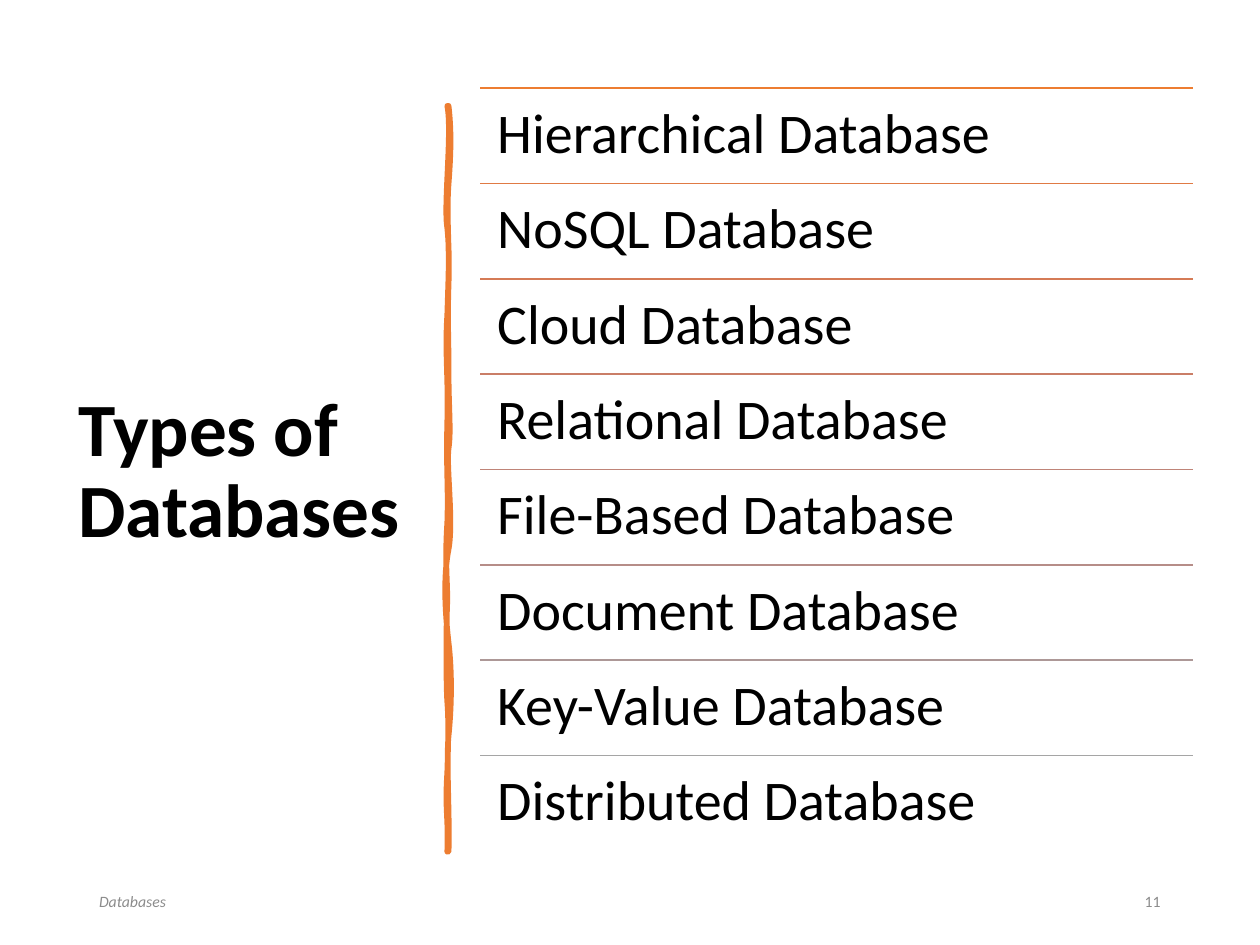
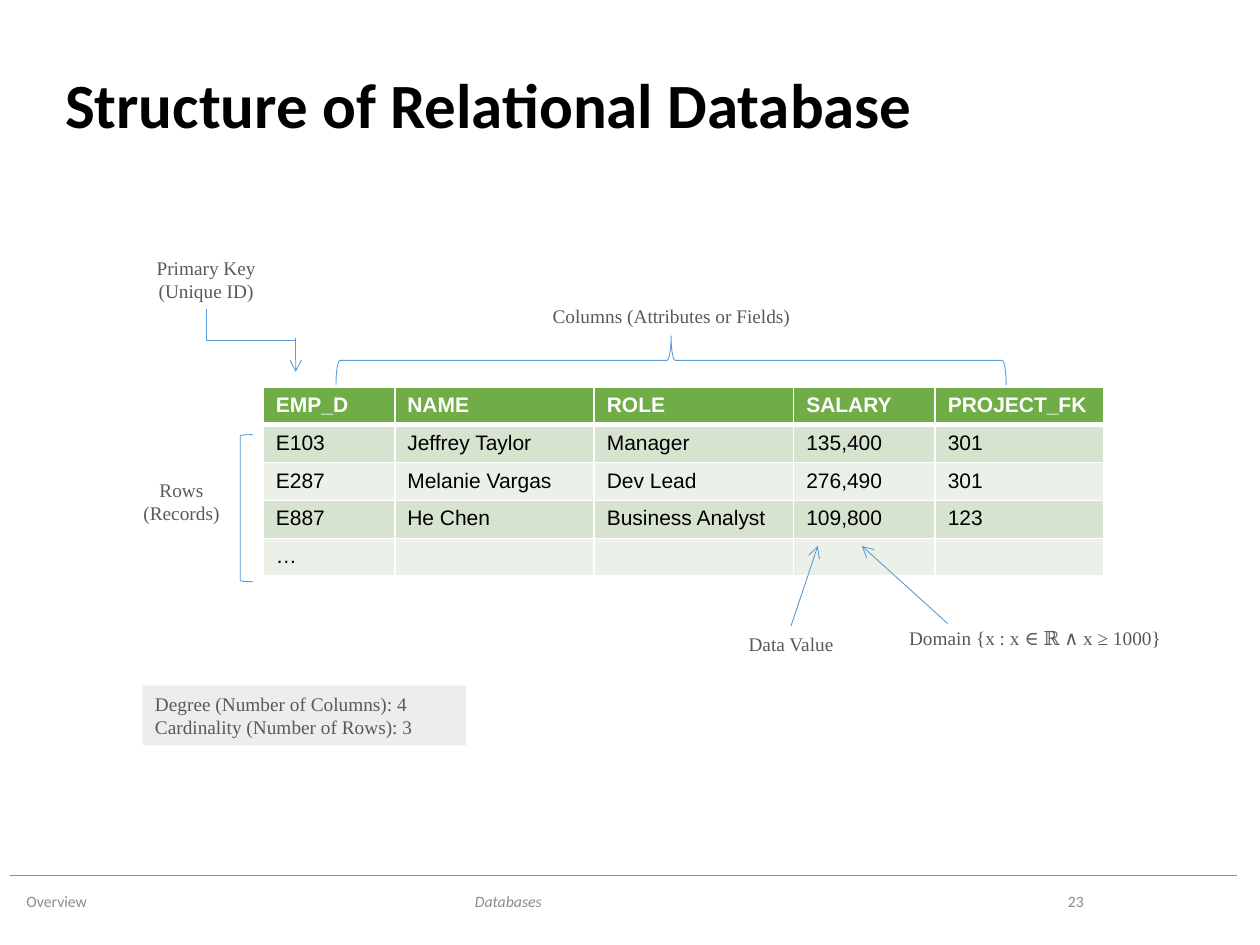
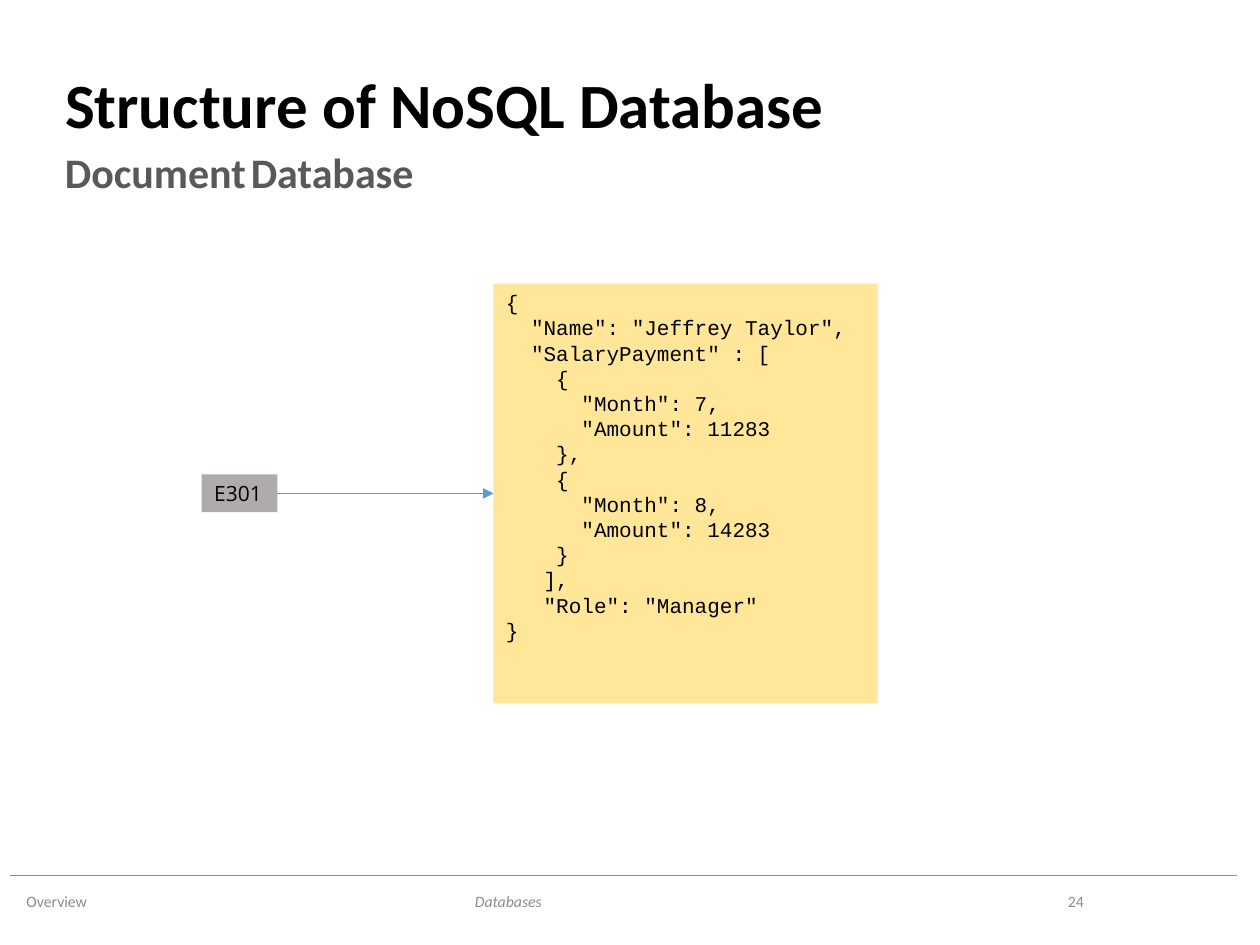
from dataclasses import dataclass

from lxml.etree import SubElement
from pptx import Presentation
from pptx.dml.color import RGBColor
from pptx.enum.shapes import MSO_CONNECTOR, MSO_SHAPE
from pptx.enum.text import MSO_ANCHOR, MSO_AUTO_SIZE, PP_ALIGN
from pptx.oxml.ns import qn
from pptx.util import Pt


@dataclass(frozen=True)
class Theme:
    black: str = "000000"
    white: str = "FFFFFF"
    label: str = "595959"
    footer: str = "8C8C8C"
    accent: str = "5B9BD5"
    orange: str = "ED7D31"
    header: str = "70AD47"
    bands: tuple = ("D5E3CF", "EBF1E9")
    note: str = "EDEDED"
    key: str = "AFABAB"
    document: str = "FFE699"
    rules: tuple = ("ED7D31", "E07A44", "D57B56", "CA7E67",
                    "BF8478", "B68D88", "AD9897", "A5A5A5")
    body: str = "Calibri"
    serif: str = "Times New Roman"
    grid: str = "Arial"
    code: str = "Courier New"
    sans: str = "Open Sans"
    cover_size: float = 43
    title_size: float = 36
    item_size: float = 32
    subtitle_size: float = 24
    cell_size: float = 12
    label_size: float = 11
    footer_size: float = 9
    hairline: float = 0.5


TH = Theme()
DATABASES = ("Hierarchical", "NoSQL", "Cloud", "Relational",
             "File-Based", "Document", "Key-Value", "Distributed")
EMPLOYEES = (
    ("EMP_D", "NAME", "ROLE", "SALARY", "PROJECT_FK"),
    ("E103", "Jeffrey Taylor", "Manager", "135,400", "301"),
    ("E287", "Melanie Vargas", "Dev Lead", "276,490", "301"),
    ("E887", "He Chen", "Business Analyst", "109,800", "123"),
    ("…", "", "", "", ""),
)
COLUMN_WIDTHS = (75.1, 114, 114, 80.9, 96.2)
RECORD = """{
  "Name": "Jeffrey Taylor",
  "SalaryPayment" : [
    {
      "Month": 7,
      "Amount": 11283
    },
    {
      "Month": 8,
      "Amount": 14283
    }
   ],
   "Role": "Manager"
}"""
STROKE_CENTER = (255.95, 273.6)
STROKE_START = (256.3, 60.5)
STROKE_CURVES = (
    (257.8, 73.4, 257.8, 85.7, 256.3, 105.1),
    (254.9, 124.6, 257, 140.4, 256.3, 162.7),
    (255.6, 185, 256.3, 188.6, 256.3, 211.7),
    (256.3, 234, 257.8, 246.2, 256.3, 256.3),
    (254.9, 266.4, 259.2, 298.1, 256.3, 313.9),
    (253.4, 329, 254.2, 348.5, 256.3, 367.2),
    (258.5, 385.9, 257.8, 406.1, 256.3, 420.5),
    (254.9, 434.2, 257, 468, 256.3, 486.7),
    (256.3, 486, 255.6, 486, 255.6, 486.7),
    (256.3, 465.1, 254.2, 463.7, 255.6, 441.4),
    (256.3, 419.8, 256.3, 410.4, 255.6, 401),
    (254.9, 391.7, 254.9, 356.4, 255.6, 343.4),
    (255.6, 330.5, 254.2, 320.4, 255.6, 298.8),
    (256.3, 277.9, 254.9, 268.6, 255.6, 241.2),
    (256.3, 214.6, 254.2, 202.3, 255.6, 180),
    (256.3, 157, 257, 144, 255.6, 130.3),
    (253.4, 117.4, 258.5, 74.9, 255.6, 60.5),
)


def rgb(color):
    return RGBColor.from_string(color)


def write(tf, text, *, size, color=TH.black, font=TH.body, bold=False, italic=False,
          align=PP_ALIGN.LEFT, spacing=None, anchor=MSO_ANCHOR.TOP, wrap=True, inset=None):
    tf.word_wrap = wrap
    tf.vertical_anchor = anchor
    if inset is not None:
        tf.margin_left = tf.margin_right = tf.margin_top = tf.margin_bottom = Pt(inset)
    lines = text.split("\n") if isinstance(text, str) else [text]
    for i, line in enumerate(lines):
        p = tf.add_paragraph() if i else tf.paragraphs[0]
        p.alignment = align
        if spacing:
            p.line_spacing = spacing
        if isinstance(line, str):
            p.text = line
        else:
            for part, part_size in line:
                r = p.add_run()
                r.text = part
                r.font.size = Pt(part_size)
        for r in p.runs:
            f = r.font
            f.name, f.bold, f.italic = font, bold, italic
            f.size = f.size or Pt(size)
            f.color.rgb = rgb(color)
        if not p.runs:
            SubElement(p._p, qn("a:endParaRPr"), sz=str(size * 100))


def quarter_turn(point, center):
    (x, y), (cx, cy) = point, center
    return Pt(cx + y - cy), Pt(cy - x + cx)


class Deck:
    def __init__(self):
        self.prs = Presentation()
        self.prs.slide_width, self.prs.slide_height = Pt(720), Pt(540)
        self.s = None

    def slide(self, title, box, size):
        self.s = self.prs.slides.add_slide(self.prs.slide_layouts[5])
        sp = self.s.shapes.title
        sp.left, sp.top, sp.width, sp.height = map(Pt, box)
        sp.text_frame.auto_size = MSO_AUTO_SIZE.NONE
        write(sp.text_frame, title, size=size, bold=True, spacing=0.9,
              anchor=MSO_ANCHOR.MIDDLE)

    def content_slide(self, title, number):
        self.slide(title, (30, 12, 660, 99.5), TH.title_size)
        self.line((6, 500.5), (706.6, 500.5))
        self.footer("Databases", 264.3, 210, italic=True)
        self.footer("Overview", 8, 243)
        self.footer(number, 551.4, 75, align=PP_ALIGN.RIGHT)

    def text(self, text, box, **fmt):
        sp = self.s.shapes.add_textbox(*map(Pt, box))
        write(sp.text_frame, text, **fmt)

    def footer(self, text, left, width, **fmt):
        self.text(text, (left, 500.5, width, 28.8), size=TH.footer_size,
                  color=TH.footer, anchor=MSO_ANCHOR.MIDDLE, **fmt)

    def label(self, text, box):
        self.text(text, box, size=TH.label_size, color=TH.label, font=TH.serif,
                  align=PP_ALIGN.CENTER)

    def line(self, start, end, color=TH.accent, width=TH.hairline, tail=None):
        cn = self.s.shapes.add_connector(MSO_CONNECTOR.STRAIGHT, *map(Pt, start + end))
        cn.line.color.rgb = rgb(color)
        cn.line.width = Pt(width)
        if tail:
            SubElement(cn.line._get_or_add_ln(), qn("a:tailEnd"), type=tail)
        SubElement(cn._element.spPr, qn("a:effectLst"))

    def rect(self, text, box, fill, **fmt):
        sp = self.s.shapes.add_shape(MSO_SHAPE.RECTANGLE, *map(Pt, box))
        sp.shadow.inherit = False
        sp.fill.solid()
        sp.fill.fore_color.rgb = rgb(fill)
        sp.line.fill.background()
        write(sp.text_frame, text, **fmt)

    def bracket(self, kind, box, rotation=0):
        sp = self.s.shapes.add_shape(kind, *map(Pt, box))
        sp.shadow.inherit = False
        sp.rotation = rotation
        sp.fill.background()
        sp.line.color.rgb = rgb(TH.accent)
        sp.line.width = Pt(TH.hairline)

    def brush_stroke(self, start, curves, center, color, width):
        turned = [[quarter_turn(c[i:i + 2], center) for i in (0, 2, 4)] for c in curves]
        fb = self.s.shapes.build_freeform(*quarter_turn(start, center))
        fb.add_line_segments([points[-1] for points in turned], close=True)
        sp = fb.convert_to_shape()
        for segment, points in zip(list(sp._element.iter(qn("a:lnTo"))), turned):
            segment.clear()
            segment.tag = qn("a:cubicBezTo")
            for x, y in points:
                SubElement(segment, qn("a:pt"), x=str(x - sp.left), y=str(y - sp.top))
        sp.rotation = 90
        sp.shadow.inherit = False
        sp.fill.solid()
        sp.fill.fore_color.rgb = rgb(color)
        sp.line.color.rgb = rgb(color)
        sp.line.width = Pt(width)
        SubElement(sp.line._get_or_add_ln(), qn("a:round"))

    def border(self, cell, bottom):
        tc_pr = cell._tc.get_or_add_tcPr()
        for side, width in (("L", 1), ("R", 1), ("T", 1), ("B", bottom)):
            ln = SubElement(tc_pr, qn(f"a:ln{side}"), w=str(Pt(width)))
            SubElement(SubElement(ln, qn("a:solidFill")), qn("a:srgbClr"), val=TH.white)

    def table(self, rows, left, top, widths, row_height):
        tbl = self.s.shapes.add_table(len(rows), len(widths), Pt(left), Pt(top),
                                      Pt(sum(widths)), Pt(row_height * len(rows))).table
        for col, width in zip(tbl.columns, widths):
            col.width = Pt(width)
        for i, row in enumerate(rows):
            tbl.rows[i].height = Pt(row_height)
            head = i == 0
            for j, value in enumerate(row):
                cell = tbl.cell(i, j)
                self.border(cell, 3 if head else 1)
                cell.fill.solid()
                cell.fill.fore_color.rgb = rgb(TH.header if head else TH.bands[(i - 1) % 2])
                write(cell.text_frame, value, size=TH.cell_size, font=TH.grid,
                      color=TH.white if head else TH.black, bold=head)


def types_slide(deck):
    deck.slide("Types of Databases", (37.5, 50.2, 201.5, 439.9), TH.cover_size)
    deck.brush_stroke(STROKE_START, STROKE_CURVES, STROKE_CENTER, TH.orange, 3.25)
    deck.footer("Databases", 49.5, 162, italic=True)
    deck.footer("11", 508.3, 162, align=PP_ALIGN.RIGHT)
    left, top, width, pitch = 274.5, 50.4, 407.5, 54.48
    for i, (name, color) in enumerate(zip(DATABASES, TH.rules)):
        y = top + i * pitch
        deck.line((left, y), (left + width, y), color, 1)
        deck.text(f"{name} Database", (left, y, width, pitch), size=TH.item_size,
                  spacing=0.9, inset=9.6)


def relational_slide(deck):
    deck.content_slide("Structure of Relational Database", "23")
    deck.table(EMPLOYEES, 150.5, 221.1, COLUMN_WIDTHS, 21.65)
    deck.label("Primary Key (Unique ID)", (81.3, 142.8, 73, 34))
    deck.line((118, 176.5), (118, 194.5))
    deck.line((118, 194.5), (169, 194.5))
    deck.line((169, 193), (169, 212.5), tail="arrow")
    deck.label("Rows\v(Records)", (67.2, 269.8, 73, 34))
    deck.bracket(MSO_SHAPE.LEFT_BRACKET, (137.3, 248.4, 7, 84))
    deck.label("Columns (Attributes or Fields)", (306, 170.6, 155.5, 21))
    deck.bracket(MSO_SHAPE.RIGHT_BRACE, (369.5, 14.4, 28, 383), rotation=270)
    deck.label("Data Value", (415.5, 358, 73, 21))
    deck.line((452, 357.8), (467.3, 312), tail="arrow")
    deck.label("Domain {x : x ∈ ℝ ∧ x ≥ 1000}", (512, 354.4, 159, 21))
    deck.line((541.5, 356.3), (492.5, 312), tail="arrow")
    deck.rect("Degree (Number of Columns): 4\nCardinality (Number of Rows): 3",
              (81.5, 391.8, 185, 34), TH.note, size=TH.label_size, color=TH.label,
              font=TH.serif)


def nosql_slide(deck):
    deck.content_slide("Structure of NoSQL Database", "24")
    subtitle = (("Document", TH.subtitle_size), (" ", TH.cell_size),
                ("Database", TH.subtitle_size))
    deck.text(subtitle, (30, 80, 232.5, 36), size=TH.subtitle_size, color=TH.label, bold=True)
    deck.rect(RECORD, (282, 162, 219.5, 240), TH.document, size=TH.cell_size, font=TH.code)
    deck.rect("E301", (115.3, 271.1, 43.2, 21.6), TH.key, size=TH.cell_size, font=TH.sans,
              wrap=False)
    deck.line((158.5, 282), (282, 282), tail="triangle")


def main():
    deck = Deck()
    types_slide(deck)
    relational_slide(deck)
    nosql_slide(deck)
    deck.prs.save("out.pptx")


if __name__ == "__main__":
    main()
